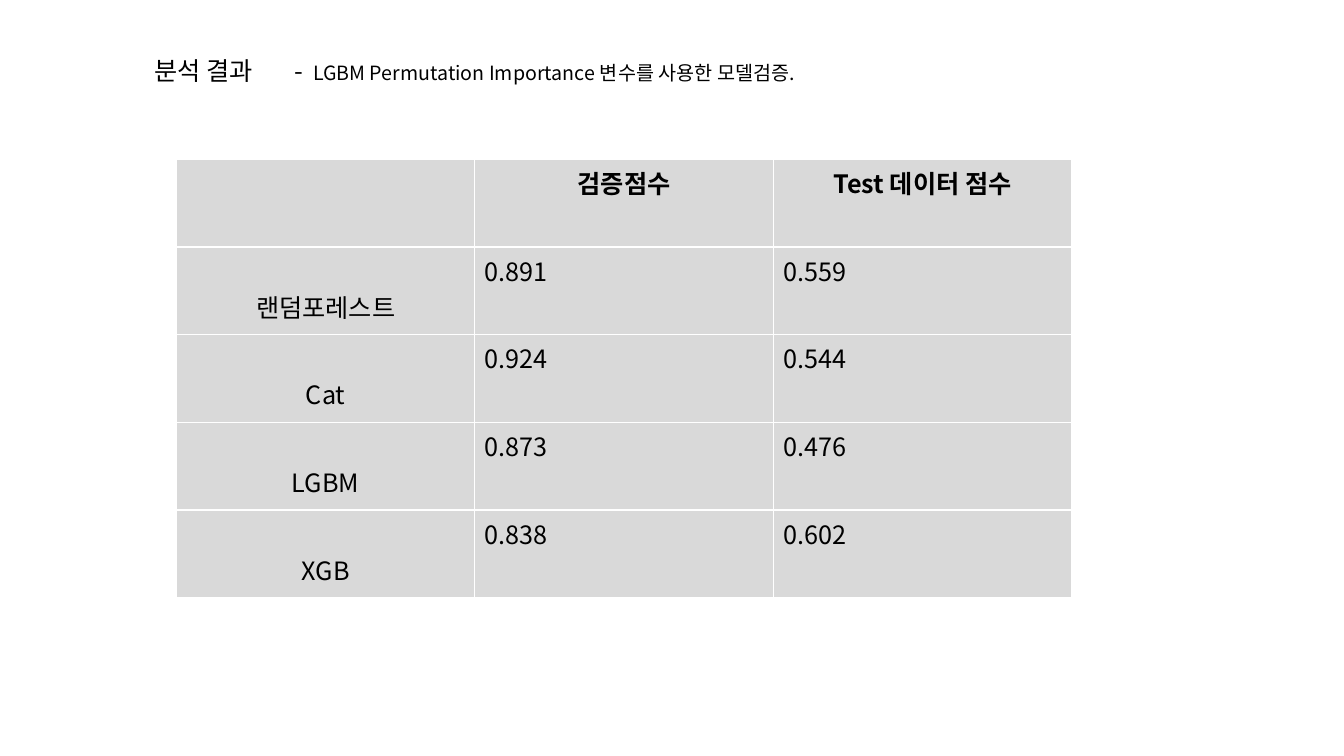
from lxml import etree
from pptx import Presentation, util as u
from pptx.dml.color import RGBColor
from pptx.enum import text
from pptx.oxml.ns import qn

BLACK = RGBColor(0x00, 0x00, 0x00)
GRAY = RGBColor(0xD9, 0xD9, 0xD9)
FONT = "Noto Sans CJK KR"
PX = 9144  # EMU, 100 px to the inch

ROWS = [
    ("", "검증점수", "Test 데이터 점수"),
    ("랜덤포레스트", "0.891", "0.559"),
    ("Cat", "0.924", "0.544"),
    ("LGBM", "0.873", "0.476"),
    ("XGB", "0.838", "0.602"),
]


class Deck:
    def __init__(self, wide, high):
        self.prs = Presentation()
        self.prs.slide_width = wide * PX
        self.prs.slide_height = high * PX
        self.slide = self.prs.slides.add_slide(self.prs.slide_layouts[5])

    def run(self, para, words, size=18, bold=False):
        run = para.add_run()
        run.text = words
        font = run.font
        font.name, font.size, font.bold = FONT, u.Pt(size), bold
        font.color.rgb = BLACK
        east = etree.SubElement(font._element, qn("a:ea"))
        east.set("typeface", FONT)

    def fill(self, frame, runs):
        """Write (words, size) runs as one left, top-anchored line."""
        frame.word_wrap = True
        frame.auto_size = text.MSO_AUTO_SIZE.SHAPE_TO_FIT_TEXT
        frame.vertical_anchor = text.MSO_ANCHOR.TOP
        para = frame.paragraphs[0]
        para.alignment = text.PP_ALIGN.LEFT
        for words, size in runs:
            self.run(para, words, size)

    def title(self, box, runs):
        shape = self.slide.shapes.title
        shape.left, shape.top, shape.width, shape.height = (n * PX for n in box)
        self.fill(shape.text_frame, runs)

    def label(self, box, runs):
        shape = self.slide.shapes.add_textbox(*(n * PX for n in box))
        self.fill(shape.text_frame, runs)

    def table(self, box, rows):
        """Header row on top; row names sit low and centred."""
        frame = self.slide.shapes.add_table(
            len(rows), len(rows[0]), *(n * PX for n in box))
        table = frame.table
        table.horz_banding = False
        for r, row in enumerate(rows):
            for c, words in enumerate(row):
                cell = table.cell(r, c)
                cell.fill.solid()
                cell.fill.fore_color.rgb = GRAY
                para = cell.text_frame.paragraphs[0]
                if r == 0 or c == 0:
                    para.alignment = text.PP_ALIGN.CENTER
                if r and c == 0:
                    cell.vertical_anchor = text.MSO_ANCHOR.BOTTOM
                    cell.margin_bottom = 10 * PX
                if words:
                    self.run(para, words, bold=r == 0)


def main():
    deck = Deck(1333, 750)
    deck.title((143, 50, 523, 40), [("분석 결과", 18)])
    deck.label((282, 50, 578, 40), [
        ("- ", 18),
        (" LGBM Permutation Importance 변수를 사용한 모델검증.", 14),
    ])
    deck.table((175, 158, 888, 435), ROWS)
    deck.prs.save("out.pptx")


if __name__ == "__main__":
    main()
